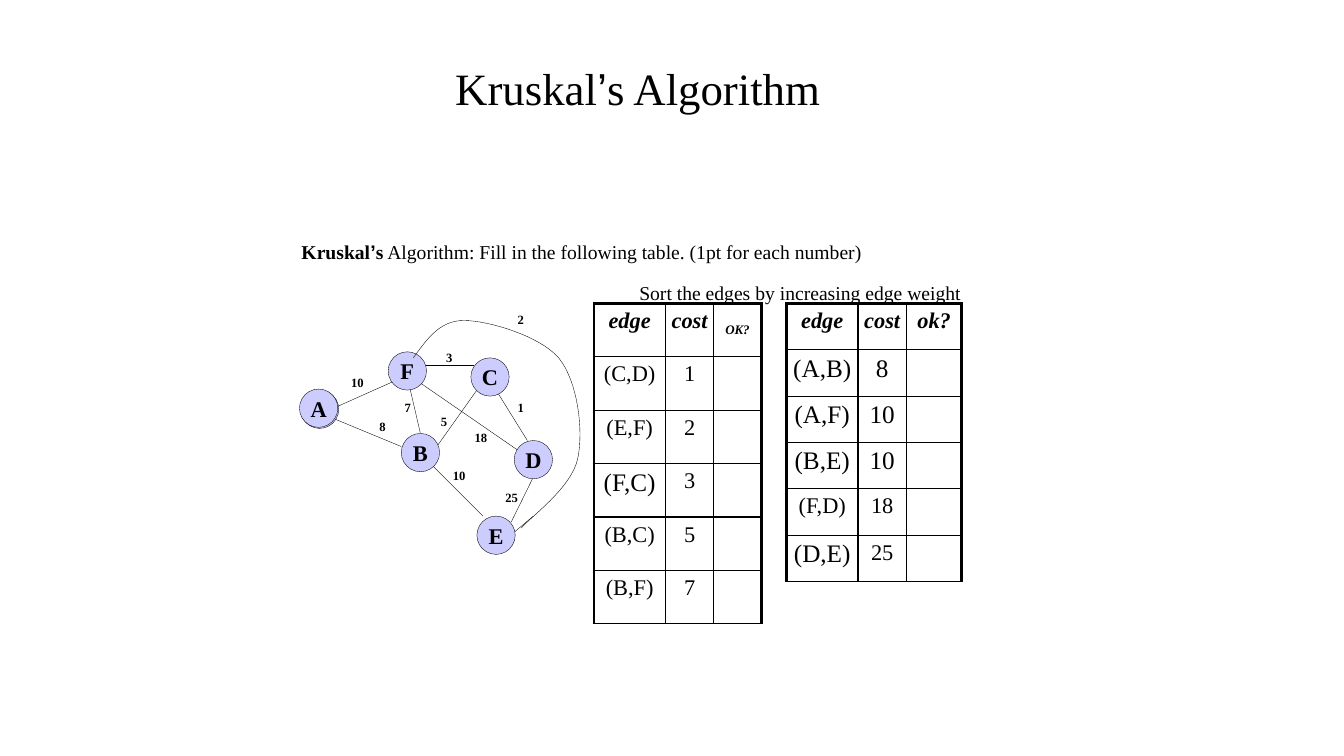
"""Build the Kruskal's Algorithm slide: weighted graph and two edge tables."""
from dataclasses import dataclass
from typing import Any

from lxml import etree
from pptx import Presentation
from pptx.dml.color import RGBColor
from pptx.enum.shapes import MSO_CONNECTOR, MSO_SHAPE
from pptx.enum.text import MSO_ANCHOR, MSO_AUTO_SIZE, PP_ALIGN
from pptx.oxml.ns import qn
from pptx.util import Pt

PX = 9144
COLORS = {"ink": "000000", "node": "CCCCFF"}
SERIF, SANS = "Times New Roman", "Arial"
CENTER, LEFT = PP_ALIGN.CENTER, PP_ALIGN.LEFT
TOP, MIDDLE = MSO_ANCHOR.TOP, MSO_ANCHOR.MIDDLE
FIT_TEXT = MSO_AUTO_SIZE.SHAPE_TO_FIT_TEXT
STRAIGHT, OVAL = MSO_CONNECTOR.STRAIGHT, MSO_SHAPE.OVAL
HAIRLINE, THIN, THICK = 0.25, 1, 2.25
NODE_SIZE = 38
LABEL_HEIGHT = 21
CURVE_STEPS = 16
INSETS = {f"margin_{side}": 4 * PX for side in ("left", "top", "right", "bottom")}
CELL_FORMAT = {**{side: 5 * PX for side in INSETS}, "vertical_anchor": TOP}


@dataclass(frozen=True)
class Span:
    text: str
    size: int
    bold: bool = False
    italic: bool = False
    face: str = SERIF
    baseline: int = 0


@dataclass(frozen=True)
class Node:
    letter: str
    left: int
    top: int


@dataclass(frozen=True)
class Edge:
    start: tuple[int, int]
    end: tuple[int, int]


@dataclass(frozen=True)
class Weight:
    value: int
    left: int
    top: int
    width: int = 25


@dataclass(frozen=True)
class EdgeTable:
    left: int
    top: int
    columns: tuple[int, ...]
    row_height: int
    header: tuple[Span, ...]
    rows: tuple[tuple[Span, Span], ...]


EDGES = [
    Edge((538, 455), (507, 518)), Edge((404, 374), (417, 430)),
    Edge((429, 449), (473, 387)), Edge((517, 449), (417, 380)),
    Edge((323, 412), (398, 443)), Edge((420, 362), (470, 362)),
    Edge((492, 387), (523, 437)), Edge((429, 462), (479, 512)),
    Edge((333, 404), (389, 379)), Edge((529, 512), (510, 528)),
]
NODES = [
    Node("A", 298, 387), Node("B", 398, 430), Node("F", 385, 349), Node("E", 473, 512),
    Node("D", 510, 437), Node("C", 467, 355), Node("A", 297, 386),
]
WEIGHTS = [
    Weight(25, 488, 482, 39), Weight(10, 436, 460, 39), Weight(18, 458, 422, 38),
    Weight(1, 504, 393), Weight(5, 428, 407), Weight(3, 433, 343), Weight(7, 392, 393),
    Weight(8, 367, 412), Weight(10, 335, 368, 39), Weight(2, 504, 305),
]
F_TO_E_CURVE = [
    (410, 355), (423, 337), (436, 318), (460, 318), (484, 318), (535, 333), (554, 355),
    (573, 378), (579, 427), (573, 455), (567, 484), (526, 513), (517, 524),
]
EDGE_HEAD = Span("edge", 16, True, True)
COST_HEAD = Span("cost", 16, True, True)
TABLES = [
    EdgeTable(780, 301, (71, 48, 55), 46,
              (EDGE_HEAD, COST_HEAD, Span("ok?", 16, True, True)), (
                  (Span("(A,B)", 18), Span("8", 18)),
                  (Span("(A,F)", 18), Span("10", 18)),
                  (Span("(B,E)", 18), Span("10", 18)),
                  (Span("(F,D)", 16), Span("18", 16)),
                  (Span("(D,E)", 18), Span("25", 16)))),
    EdgeTable(589, 301, (71, 48, 47), 53,
              (EDGE_HEAD, COST_HEAD, Span("OK?", 16, True, True, baseline=-25000)), (
                  (Span("(C,D)", 16), Span("1", 16)),
                  (Span("(E,F)", 16), Span("2", 16)),
                  (Span("(F,C)", 18), Span("3", 16)),
                  (Span("(B,C)", 16), Span("5", 16)),
                  (Span("(B,F)", 16), Span("7", 16)))),
]


def color(name: str) -> RGBColor:
    return RGBColor.from_string(COLORS[name])


def apply(target: Any, values: dict[str, Any]) -> None:
    for name, value in values.items():
        setattr(target, name, value)


def write(frame: Any, spans: list[Span], align: PP_ALIGN = CENTER) -> None:
    paragraph = frame.paragraphs[0]
    paragraph.alignment = align
    for span in spans:
        run = paragraph.add_run()
        run.text = span.text
        apply(run.font, {"name": span.face, "size": Pt(span.size),
                         "bold": span.bold, "italic": span.italic})
        run.font.color.rgb = color("ink")
        if span.baseline:
            run.font._element.set("baseline", str(span.baseline))


def add_text(shapes: Any, box: tuple[int, int, int, int], spans: list[Span],
             align: PP_ALIGN = CENTER, wrap: bool = True) -> None:
    frame = shapes.add_textbox(*(n * PX for n in box)).text_frame
    apply(frame, {**INSETS, "word_wrap": wrap, "auto_size": FIT_TEXT})
    write(frame, spans, align)


def outline(shape: Any) -> None:
    shape.line.color.rgb = color("ink")
    shape.line.width = Pt(HAIRLINE)


def add_edge(shapes: Any, edge: Edge) -> None:
    connector = shapes.add_connector(STRAIGHT, *(n * PX for n in edge.start + edge.end))
    outline(connector)
    etree.SubElement(connector._element.spPr, qn("a:effectLst"))


def add_node(shapes: Any, node: Node) -> None:
    circle = shapes.add_shape(OVAL, *(n * PX for n in (node.left, node.top, NODE_SIZE, NODE_SIZE)))
    circle.shadow.inherit = False
    circle.fill.solid()
    circle.fill.fore_color.rgb = color("node")
    outline(circle)
    apply(circle.text_frame, {**INSETS, "word_wrap": False, "vertical_anchor": MIDDLE})
    write(circle.text_frame, [Span(node.letter, 16, True)])


def add_curve(shapes: Any, points: list[tuple[int, int]]) -> None:
    def at(part: list[tuple[int, int]], t: float) -> tuple[float, float]:
        factors = ((1 - t) ** 3, 3 * t * (1 - t) ** 2, 3 * t * t * (1 - t), t ** 3)
        x, y = (sum(f * p[axis] for f, p in zip(factors, part)) for axis in (0, 1))
        return x * PX, y * PX

    x, y = points[0]
    builder = shapes.build_freeform(x * PX, y * PX)
    builder.add_line_segments(
        [at(points[i:i + 4], step / CURVE_STEPS) for i in range(0, len(points) - 1, 3)
         for step in range(1, CURVE_STEPS + 1)], close=False)
    curve = builder.convert_to_shape()
    curve.shadow.inherit = False
    curve.fill.background()
    outline(curve)


def set_borders(cell: Any, widths: dict[str, float]) -> None:
    properties = cell._tc.get_or_add_tcPr()
    for index, (side, width) in enumerate(widths.items()):
        border = etree.Element(qn(f"a:ln{side}"), w=str(Pt(width)))
        fill = etree.SubElement(border, qn("a:solidFill"))
        etree.SubElement(fill, qn("a:srgbClr"), val=COLORS["ink"])
        properties.insert(index, border)


def add_edge_table(shapes: Any, data: EdgeTable) -> None:
    rows = [data.header, *data.rows]
    size = (data.left, data.top, sum(data.columns), data.row_height * len(rows))
    table = shapes.add_table(len(rows), len(data.columns), *(n * PX for n in size)).table
    apply(table, {"first_row": False, "horz_banding": False})
    for column, width in zip(table.columns, data.columns):
        column.width = width * PX
    last = len(data.columns) - 1
    for r, spans in enumerate(rows):
        table.rows[r].height = data.row_height * PX
        for c in range(last + 1):
            cell = table.cell(r, c)
            apply(cell, CELL_FORMAT)
            cell.fill.background()
            set_borders(cell, {"L": THIN if c else THICK, "R": THICK if c == last else THIN,
                               "T": THIN if r else THICK, "B": THIN})
            write(cell.text_frame, list(spans[c:c + 1]))


def main() -> None:
    deck = Presentation()
    apply(deck, {"slide_width": 1333 * PX, "slide_height": 750 * PX})
    shapes = deck.slides.add_slide(deck.slide_layouts[6]).shapes
    add_text(shapes, (447, 56, 371, 58),
             [Span("Kruskal", 32), Span("’", 32, face=SANS), Span("s Algorithm", 32)], wrap=False)
    for edge in EDGES:
        add_edge(shapes, edge)
    for node in NODES:
        add_node(shapes, node)
    add_curve(shapes, F_TO_E_CURVE)
    for weight in WEIGHTS:
        add_text(shapes, (weight.left, weight.top, weight.width, LABEL_HEIGHT),
                 [Span(str(weight.value), 9, True)])
    for table in TABLES:
        add_edge_table(shapes, table)
    add_text(shapes, (630, 275, 348, 28),
             [Span("Sort the edges by increasing edge weight", 14)], LEFT)
    add_text(shapes, (295, 234, 592, 29),
             [Span("Kruskal", 14, True), Span("’", 14, True, face=SANS), Span("s", 14, True),
              Span(" Algorithm: Fill in the following table. (1pt for each number)", 14)], LEFT)
    deck.save("out.pptx")


if __name__ == "__main__":
    main()
